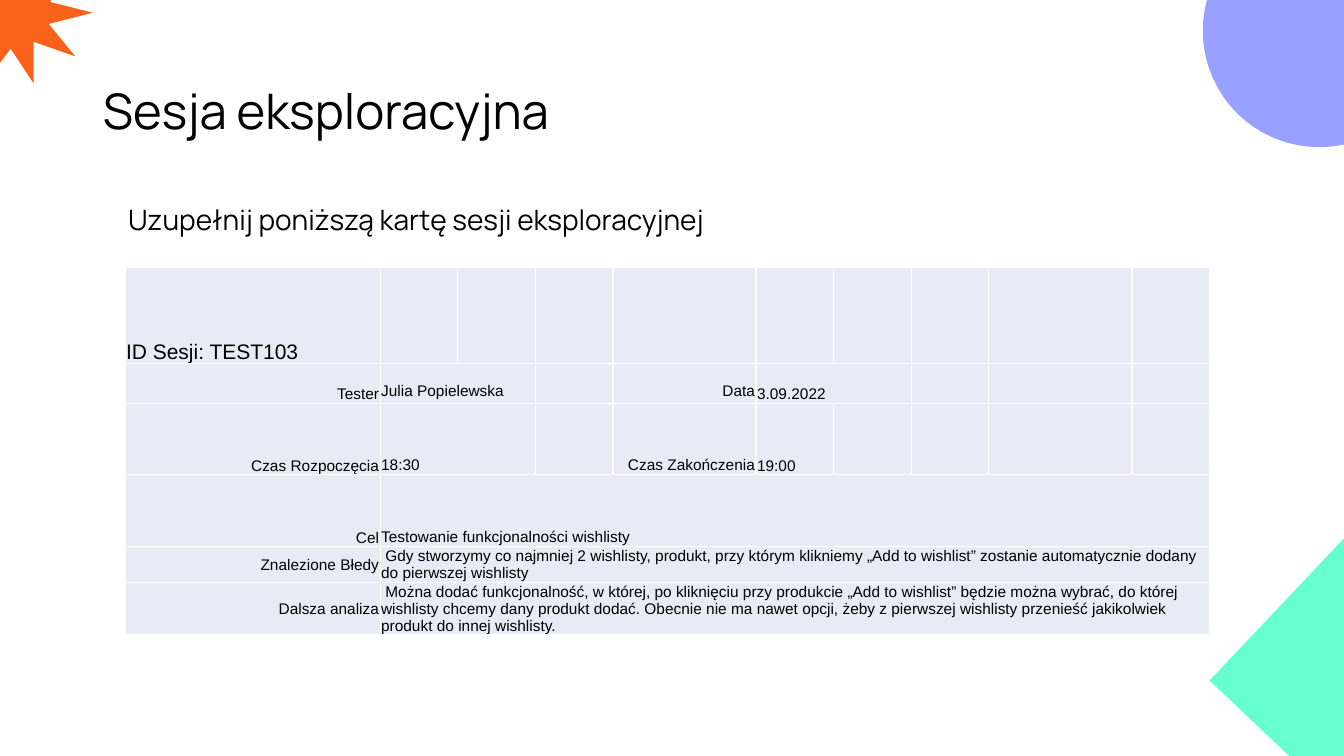
from dataclasses import dataclass

from lxml.etree import SubElement
from pptx import Presentation
from pptx.dml.color import RGBColor
from pptx.enum.shapes import MSO_SHAPE
from pptx.enum.text import MSO_ANCHOR, MSO_AUTO_SIZE, PP_ALIGN
from pptx.oxml.ns import qn
from pptx.util import Emu, Pt

EMU_PER_PX = 9144  # 100 px to the inch
BLACK, WHITE, CELL_FILL = "000000", "FFFFFF", "E8EBF5"
HEADING_FONT, TABLE_FONT = "Manrope", "Arial"
COLUMN_WIDTHS = [253, 77, 77, 77, 142, 77, 77, 77, 142, 77]
ROW_HEIGHTS = [96, 39, 71, 71, 36, 52]
LAST_COLUMN = len(COLUMN_WIDTHS) - 1


@dataclass
class Decoration:
    preset: MSO_SHAPE
    left: int
    top: int
    width: int
    height: int
    color: str
    rotation: float = 0
    adjustments: tuple[float, ...] = ()


@dataclass
class Entry:
    row: int
    column: int
    text: str
    anchor: MSO_ANCHOR = MSO_ANCHOR.BOTTOM
    align: PP_ALIGN = PP_ALIGN.LEFT
    last_column: int | None = None
    top_margin: int = 1
    size: int = 11


DECORATIONS = [
    Decoration(MSO_SHAPE.OVAL, 1193, -85, 231, 231, "98A1FF"),
    Decoration(MSO_SHAPE.RECTANGLE, 1237, 492, 388, 270, "66FFD0", 313.4),
    Decoration(MSO_SHAPE.STAR_10_POINT, -64, -60, 153, 146, "FA611A", 343.3, (0.24, 1.05)),
]

TOP, MIDDLE, RIGHT = MSO_ANCHOR.TOP, MSO_ANCHOR.MIDDLE, PP_ALIGN.RIGHT
ENTRIES = [
    Entry(0, 0, "ID Sesji: TEST103", size=15),
    Entry(1, 0, "Tester", align=RIGHT),
    Entry(1, 1, "Julia Popielewska", TOP, last_column=2, top_margin=19),
    Entry(1, 4, "Data", TOP, RIGHT, top_margin=19),
    Entry(1, 5, "3.09.2022", last_column=6),
    Entry(2, 0, "Czas Rozpoczęcia", align=RIGHT),
    Entry(2, 1, "18:30", TOP, last_column=2, top_margin=53),
    Entry(2, 4, "Czas Zakończenia", TOP, RIGHT, top_margin=53),
    Entry(2, 5, "19:00"),
    Entry(3, 0, "Cel", align=RIGHT),
    Entry(3, 1, "Testowanie funkcjonalności wishlisty", TOP,
          last_column=LAST_COLUMN, top_margin=53),
    Entry(4, 0, "Znalezione Błedy", MIDDLE, RIGHT),
    Entry(4, 1, " Gdy stworzymy co najmniej 2 wishlisty, produkt, przy którym klikniemy "
          "„Add to wishlist” zostanie automatycznie dodany do pierwszej wishlisty",
          TOP, last_column=LAST_COLUMN),
    Entry(5, 0, "Dalsza analiza", MIDDLE, RIGHT),
    Entry(5, 1, " Można dodać funkcjonalność, w której, po kliknięciu przy produkcie "
          "„Add to wishlist” będzie można wybrać, do której wishlisty chcemy dany produkt "
          "dodać. Obecnie nie ma nawet opcji, żeby z pierwszej wishlisty przenieść "
          "jakikolwiek produkt do innej wishlisty.", TOP, last_column=LAST_COLUMN),
]


def px(length: int) -> Emu:
    return Emu(length * EMU_PER_PX)


def rgb(color: str) -> RGBColor:
    return RGBColor.from_string(color)


def set_font(paragraph, name: str, size: int) -> None:
    paragraph.font.name = name
    paragraph.font.size = Pt(size)
    paragraph.font.color.rgb = rgb(BLACK)


def draw_decoration(slide, decoration: Decoration) -> None:
    shape = slide.shapes.add_shape(
        decoration.preset, px(decoration.left), px(decoration.top),
        px(decoration.width), px(decoration.height))
    shape.shadow.inherit = False
    shape.rotation = decoration.rotation
    shape.fill.solid()
    shape.fill.fore_color.rgb = rgb(decoration.color)
    shape.line.fill.background()
    for index, value in enumerate(decoration.adjustments):
        shape.adjustments[index] = value


def fill_placeholder(placeholder, text: str, top: int, height: int, size: int,
                     anchor: MSO_ANCHOR):
    """Place a heading in the common text column and return its paragraph."""
    placeholder.left, placeholder.top = px(92), px(top)
    placeholder.width, placeholder.height = px(1089), px(height)
    frame = placeholder.text_frame
    frame.text = text
    frame.auto_size = MSO_AUTO_SIZE.NONE
    frame.vertical_anchor = anchor
    paragraph = frame.paragraphs[0]
    paragraph.alignment = PP_ALIGN.LEFT
    paragraph.line_spacing = 0.9
    set_font(paragraph, HEADING_FONT, size)
    return paragraph


def remove_bullet(paragraph, indent: int) -> None:
    properties = paragraph._p.get_or_add_pPr()
    properties.set("marL", str(px(indent)))
    properties.set("indent", "0")
    bullet = SubElement(properties, qn("a:buNone"))
    properties.find(qn("a:defRPr")).addprevious(bullet)


def style_cell(cell) -> None:
    properties = cell._tc.get_or_add_tcPr()
    for side in ("a:lnL", "a:lnR", "a:lnT", "a:lnB"):
        border = SubElement(properties, qn(side), w=str(Pt(1)))
        SubElement(SubElement(border, qn("a:solidFill")), qn("a:srgbClr"), val=WHITE)
    cell.fill.solid()
    cell.fill.fore_color.rgb = rgb(CELL_FILL)
    cell.margin_left = cell.margin_right = cell.margin_top = px(1)
    cell.margin_bottom = 0


def write_entry(table, entry: Entry) -> None:
    cell = table.cell(entry.row, entry.column)
    if entry.last_column is not None:
        cell.merge(table.cell(entry.row, entry.last_column))
    cell.text = entry.text
    cell.vertical_anchor = entry.anchor
    cell.margin_top = px(entry.top_margin)
    paragraph = cell.text_frame.paragraphs[0]
    paragraph.alignment = entry.align
    set_font(paragraph, TABLE_FONT, entry.size)


def draw_session_card(slide) -> None:
    table = slide.shapes.add_table(
        len(ROW_HEIGHTS), len(COLUMN_WIDTHS), px(124), px(265),
        px(sum(COLUMN_WIDTHS)), px(sum(ROW_HEIGHTS))).table
    table.first_row = table.horz_banding = False
    for column, width in zip(table.columns, COLUMN_WIDTHS):
        column.width = px(width)
    for row, height in zip(table.rows, ROW_HEIGHTS):
        row.height = px(height)
    for cell in table.iter_cells():
        style_cell(cell)
    for entry in ENTRIES:
        write_entry(table, entry)


def main() -> None:
    presentation = Presentation()
    presentation.slide_width, presentation.slide_height = px(1333), px(750)
    slide = presentation.slides.add_slide(presentation.slide_layouts[1])
    for decoration in DECORATIONS:
        draw_decoration(slide, decoration)
    title, body = slide.placeholders
    fill_placeholder(title, "Sesja eksploracyjna", 40, 145, 35, MSO_ANCHOR.MIDDLE)
    instruction = fill_placeholder(
        body, "Uzupełnij poniższą kartę sesji eksploracyjnej", 200, 476, 20, MSO_ANCHOR.TOP)
    instruction.space_before = Pt(10)
    remove_bullet(instruction, indent=25)
    draw_session_card(slide)
    presentation.save("out.pptx")


if __name__ == "__main__":
    main()
